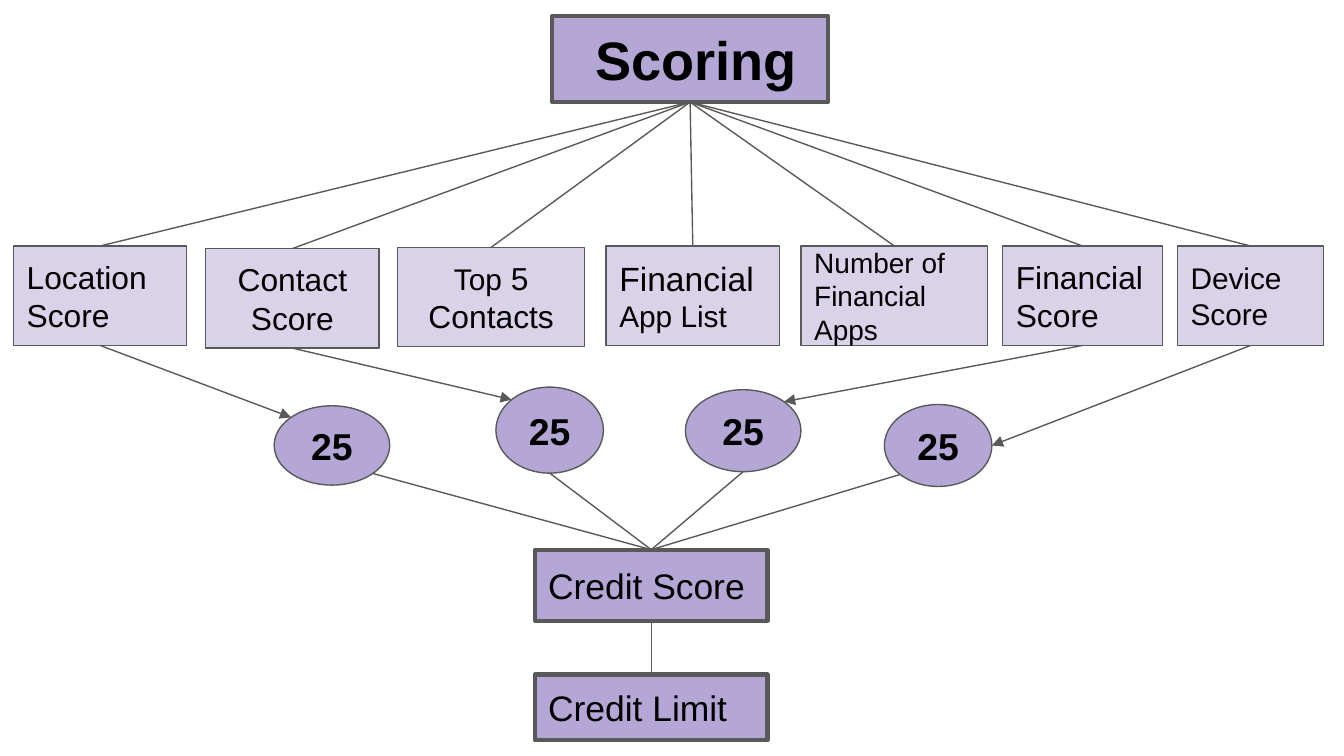
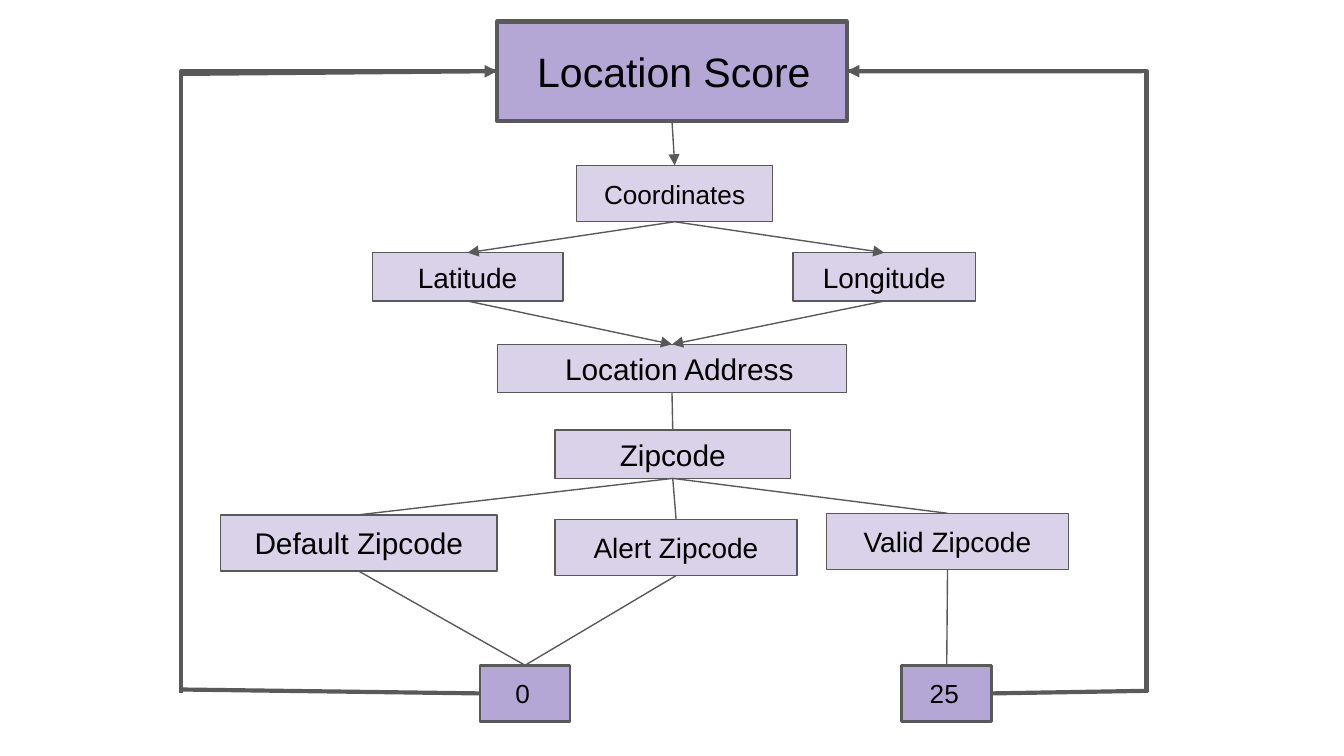
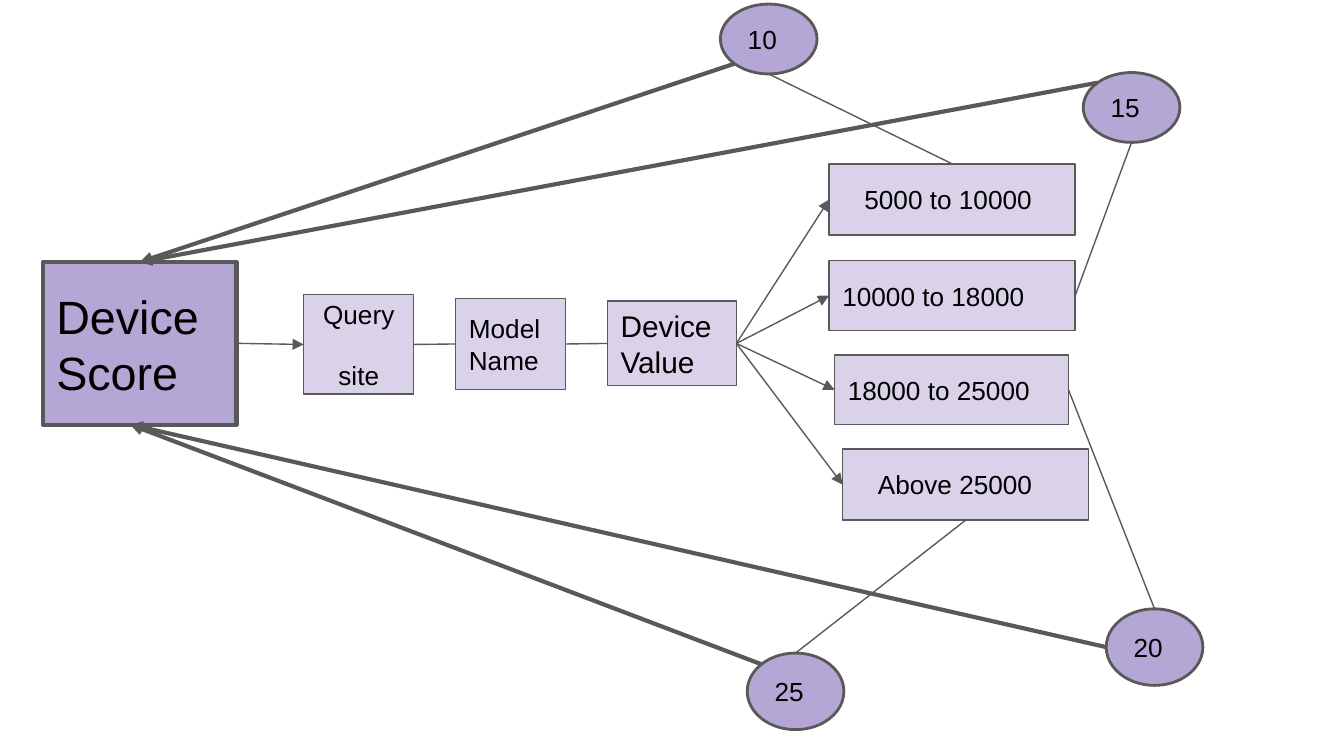
from lxml import etree
from pptx import Presentation
from pptx.dml.color import RGBColor
from pptx.enum.shapes import MSO_CONNECTOR, MSO_SHAPE
from pptx.enum.text import MSO_ANCHOR, MSO_AUTO_SIZE, PP_ALIGN
from pptx.oxml.ns import qn
from pptx.util import Pt

RECTANGLE, OVAL = MSO_SHAPE.RECTANGLE, MSO_SHAPE.OVAL
STRAIGHT, ELBOW = MSO_CONNECTOR.STRAIGHT, MSO_CONNECTOR.ELBOW
LEFT, CENTER = PP_ALIGN.LEFT, PP_ALIGN.CENTER

# Shared look
FONT = "Arial"
INK, GREY, PURPLE, LILAC = "000000", "595959", "B4A7D6", "D9D2E9"
THIN, MEDIUM, THICK = 0.75, 1.5, 2.25
INSET = 7.2
HEAD = {"fill": PURPLE, "line": THICK}
SCORE = {"fill": PURPLE, "line": MEDIUM}
STEP = {"fill": LILAC, "line": THIN}
NEAR, FAR = 0.146, 0.854  # where an oval's diagonals meet its bounding box
SITES = {
    "top": (0.5, 0), "left": (0, 0.5), "bottom": (0.5, 1), "right": (1, 0.5),
    "top left": (NEAR, NEAR), "top right": (FAR, NEAR),
    "bottom left": (NEAR, FAR), "bottom right": (FAR, FAR),
}


def add_box(slide, bounds, text, size, look, kind=RECTANGLE, align=LEFT,
            bold=False, indent=0, gap=0):
    """Draw a labelled shape (kind None: the title) and return its line ends.

    Text is a string, or a list of (text, size) runs.
    """
    left, top, width, height = bounds
    if kind is None:
        shape = slide.shapes.title
        places = dict(zip(("left", "top", "width", "height"), bounds))
        for name, value in places.items():
            setattr(shape, name, Pt(value))
    else:
        shape = slide.shapes.add_shape(kind, *map(Pt, bounds))
        shape.shadow.inherit = False
    shape.fill.solid()
    shape.fill.fore_color.rgb = RGBColor.from_string(look["fill"])
    shape.line.color.rgb = RGBColor.from_string(GREY)
    shape.line.width = Pt(look["line"])

    frame = shape.text_frame
    frame_format = {
        "word_wrap": True, "auto_size": MSO_AUTO_SIZE.NONE,
        "vertical_anchor": MSO_ANCHOR.MIDDLE,
        "margin_left": Pt(INSET + indent), "margin_right": Pt(INSET),
        "margin_top": Pt(INSET), "margin_bottom": Pt(INSET),
    }
    for name, value in frame_format.items():
        setattr(frame, name, value)

    if isinstance(text, str):
        paragraphs = [[(line, size)] for line in text.split("\n")]
    else:
        paragraphs = [text]
    for number, runs in enumerate(paragraphs):
        paragraph = frame.add_paragraph() if number else frame.paragraphs[0]
        paragraph.alignment = align
        paragraph.space_before = Pt(gap if number else 0)
        for words, run_size in runs:
            run = paragraph.add_run()
            run.text = words
            font_format = {"name": FONT, "size": Pt(run_size), "bold": bold}
            for name, value in font_format.items():
                setattr(run.font, name, value)
            run.font.color.rgb = RGBColor.from_string(INK)
    return {site: (left + x * width, top + y * height)
            for site, (x, y) in SITES.items()}


def add_line(slide, start, end, width=THIN, arrow=False, kind=STRAIGHT):
    connector = slide.shapes.add_connector(kind, *map(Pt, start + end))
    connector.line.color.rgb = RGBColor.from_string(GREY)
    connector.line.width = Pt(width)
    properties = connector._element.spPr
    if kind == ELBOW:  # a single corner
        properties.find(qn("a:prstGeom")).set("prst", "bentConnector2")
    if arrow:
        outline = properties.find(qn("a:ln"))
        etree.SubElement(outline, qn("a:tailEnd"), type="triangle")
    etree.SubElement(properties, qn("a:effectLst"))


presentation = Presentation()
presentation.slide_width, presentation.slide_height = Pt(720), Pt(405)
scoring, location, device = [
    presentation.slides.add_slide(presentation.slide_layouts[5])
    for _ in range(3)
]

# Slide 1: factors, points and credit score
title = add_box(scoring, (295.9, 8.6, 147.6, 46.1), "Scoring", 29, HEAD,
                kind=None, bold=True, indent=16)
credit_score = add_box(scoring, (286.6, 294.5, 124.6, 38), "Credit Score", 19, HEAD)
credit_limit = add_box(scoring, (286.6, 361.4, 124.6, 35.3), "Credit Limit", 19, HEAD)
add_line(scoring, credit_score["bottom"], credit_limit["top"])

factors = {}
for name, left, top, width, text, size, align in (
    ("location", 7.2, 131.8, 92.9, "Location Score", 17, LEFT),
    ("contact", 110.2, 133.2, 92.9, "Contact Score", 17, CENTER),
    ("top contacts", 213.1, 132.5, 100.1, [("Top", 16), (" 5 Contacts", 17)], None, CENTER),
    ("app list", 324.7, 131.8, 92.9, [("Financial ", 18), ("App List", 16)], None, LEFT),
    ("app count", 429.1, 131.8, 100.1, "Number of Financial Apps", 15, LEFT),
    ("financial", 537.1, 131.8, 85.7, "Financial Score", 17, LEFT),
    ("device", 630.7, 131.8, 78.5, "Device Score", 16, LEFT),
):
    factors[name] = add_box(scoring, (left, top, width, 53.3), text, size, STEP,
                            align=align)
    add_line(scoring, title["bottom"], factors[name]["top"])

for name, bounds, entry, leave in (
    ("location", (146.9, 217.4, 61.9, 42.5), "top left", "bottom right"),
    ("contact", (265.7, 207.4, 57.6, 46.1), "top left", "bottom"),
    ("financial", (367.2, 208.8, 61.9, 43.9), "top right", "bottom"),
    ("device", (473.8, 216.7, 57.6, 43.9), "right", "bottom left"),
):
    points = add_box(scoring, bounds, "25", 20, STEP | {"fill": PURPLE}, OVAL,
                     CENTER, bold=True)
    add_line(scoring, factors[name]["bottom"], points[entry], arrow=True)
    add_line(scoring, points[leave], credit_score["top"])

# Slide 2: from coordinates to the location score
title = add_box(location, (266.4, 11.5, 187.2, 53.3), "Location Score", 22, HEAD,
                kind=None, indent=14.2)
steps = {}
for text, bounds, size, indent in (
    ("Coordinates", (308.9, 88.6, 105.1, 30.2), 14, 0),
    ("Latitude", (199.4, 135.4, 102.2, 25.9), 15, 0),
    ("Longitude", (424.8, 135.4, 97.9, 25.9), 15, 0),
    ("Location Address", (266.4, 184.5, 187.2, 25.9), 16, 7.8),
    ("Zipcode", (297.4, 230.4, 126, 25.9), 16, 0),
    ("Default Zipcode", (118.1, 275.8, 148.3, 30.2), 16, 0),
    ("Alert Zipcode", (297.4, 278.2, 129.6, 30.2), 15, 0),
    ("Valid Zipcode", (442.8, 275, 129.6, 30.2), 15, 0),
):
    steps[text] = add_box(location, bounds, text, size, STEP, align=CENTER,
                          indent=indent)
zero = add_box(location, (257.2, 356.4, 48.2, 30.2), "0", 14, SCORE, indent=11.7)
full = add_box(location, (483.1, 356.4, 48.2, 30.2), "25", 14, SCORE, indent=7.8)

add_line(location, title["bottom"], steps["Coordinates"]["top"], arrow=True)
for name in ("Latitude", "Longitude"):
    add_line(location, steps["Coordinates"]["bottom"], steps[name]["top"], arrow=True)
    add_line(location, steps[name]["bottom"], steps["Location Address"]["top"], arrow=True)
add_line(location, steps["Location Address"]["bottom"], steps["Zipcode"]["top"])
for name, result in (("Default Zipcode", zero), ("Alert Zipcode", zero),
                     ("Valid Zipcode", full)):
    add_line(location, steps["Zipcode"]["bottom"], steps[name]["top"])
    add_line(location, steps[name]["bottom"], result["top"])

# Thick return loops on both sides
for side, result, corner, foot, shoulder in (
    ("left", zero, (97.2, 371.5), (96.5, 369.4), (96.5, 39.6)),
    ("right", full, (614.2, 370.8), (614.9, 370.1), (612, 38.2)),
):
    add_line(location, title[side], corner, THICK, kind=ELBOW)
    add_line(location, result[side], foot, THICK)
    add_line(location, shoulder, title[side], THICK, arrow=True)

# Slide 3: from device model to device score
title = add_box(device, (23, 140.4, 103.7, 87.1), "Device\nScore", 25, HEAD, kind=None)
query = add_box(device, (162.7, 157.9, 59, 53.3), "Query\nsite", 14, STEP,
                align=CENTER, gap=16)
model = add_box(device, (244.1, 159.8, 59, 49), "Model\nName", 14, STEP)
value = add_box(device, (325.4, 161.3, 69.1, 45.4), "Device Value", 16, STEP)
add_line(device, title["right"], query["left"], arrow=True)
add_line(device, query["right"], model["left"])
add_line(device, model["right"], value["left"])

title_bottom = (69.8, 227.5)
for text, bounds, indent, leave, points, oval, entry, back, target in (
    ("5000 to 10000", (444.2, 87.8, 131.8, 38.2), 11.7, "top",
     "10", (385.9, 2.2, 51.8, 37.4), "bottom", "bottom left", title["top"]),
    ("10000 to 18000", (444.2, 139.7, 131.8, 37.4), 0, "right",
     "15", (580.3, 38.9, 51.8, 37.4), "bottom", "top left", title["top"]),
    ("18000 to 25000", (447.1, 190.1, 125.3, 37.4), 0, "right",
     "20", (592.6, 326.2, 51.8, 41), "top", "left", title_bottom),
    ("Above 25000", (451.4, 240.5, 131.8, 38.2), 11.7, "bottom",
     "25", (400.3, 349.9, 51.8, 41), "top", "top left", title_bottom),
):
    price = add_box(device, bounds, text, 14, STEP, indent=indent)
    score = add_box(device, oval, points, 14, SCORE, OVAL)
    add_line(device, value["right"], price["left"], arrow=True)
    add_line(device, price[leave], score[entry])
    add_line(device, score[back], target, THICK, arrow=True)

presentation.save("out.pptx")
